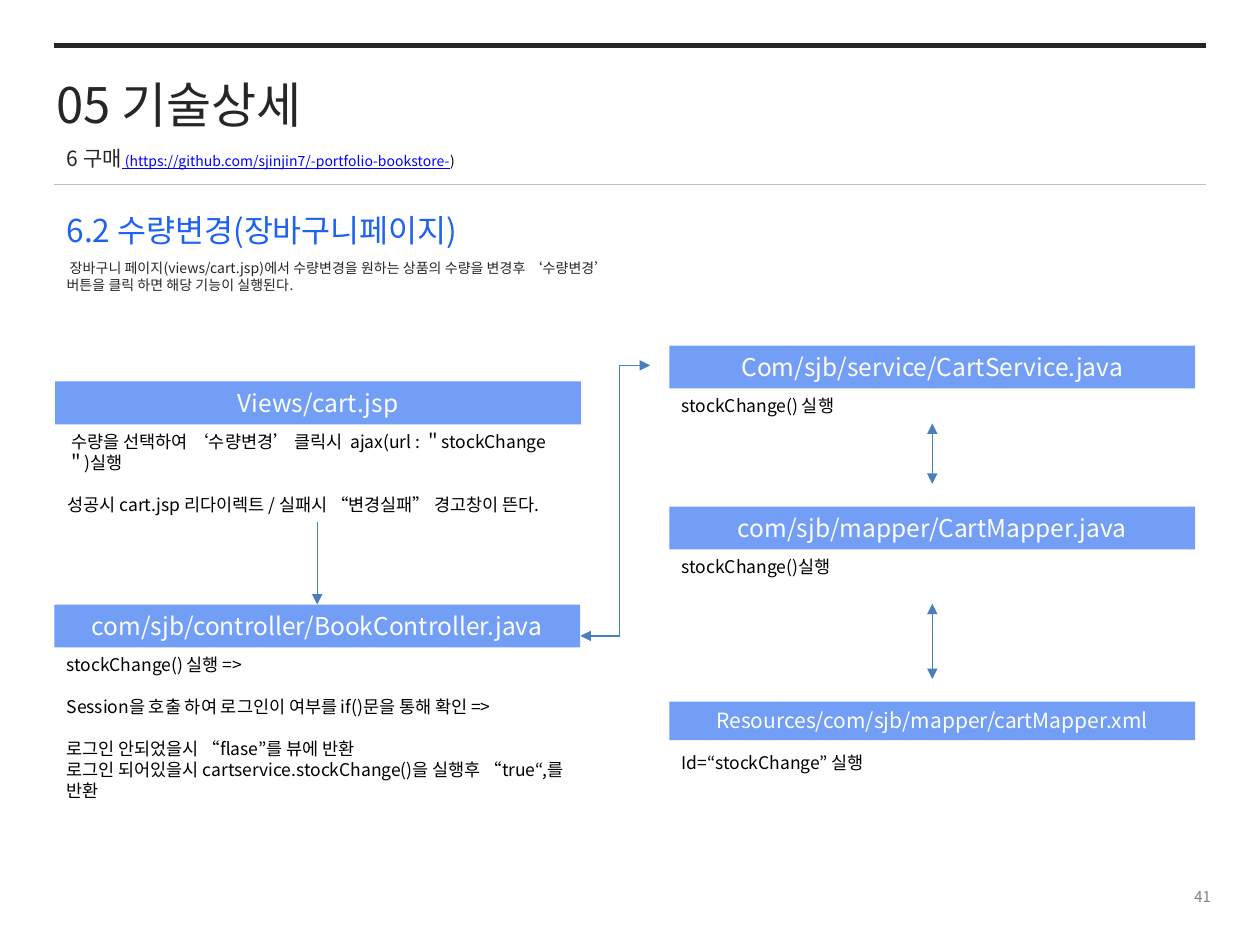
from lxml.etree import SubElement
from pptx import Presentation
from pptx.dml.color import RGBColor
from pptx.enum.shapes import MSO_CONNECTOR as Link, MSO_SHAPE as Form
from pptx.enum.text import MSO_ANCHOR as Anchor, PP_ALIGN as Align
from pptx.oxml.ns import qn
from pptx.util import Pt

FONT = "Noto Sans CJK KR"
DARK, BLACK, WHITE = "262626", "000000", "FFFFFF"
BLUE, BAND, ARROW = "1D62F0", "739EF6", "4B7EBC"


def paint(part, tone):
    part.rgb = RGBColor.from_string(tone)


def style(run, size, tone):
    run.font.size = Pt(size)
    run.font.name = FONT
    paint(run.font.color, tone)
    SubElement(run.font._element, qn("a:ea"), typeface=FONT)


def write(slide, box, lines, size, tone, gaps=()):
    frame = slide.shapes.add_textbox(*map(Pt, box)).text_frame
    frame.word_wrap = True
    frame.text = "\n".join(lines)
    for i, para in enumerate(frame.paragraphs):
        if i in gaps:
            para.space_before = Pt(12)
        style(para.runs[0], size, tone)
    return frame


def draw(slide, start, end, tone=ARROW, width=0.75, head=False, tail=False):
    line = slide.shapes.add_connector(Link.STRAIGHT, *map(Pt, start + end))
    paint(line.line.color, tone)
    line.line.width = Pt(width)
    pen = line.line._get_or_add_ln()
    for on, tag in ((head, "a:headEnd"), (tail, "a:tailEnd")):
        if on:
            SubElement(pen, qn(tag), type="triangle")
    SubElement(line._element.spPr, qn("a:effectLst"))
    return line


def step(slide, box, name, lines, band=24.5, gap=0.2, size=14, gaps=()):
    left, top, width, height = box
    bar = slide.shapes.add_shape(Form.RECTANGLE, *map(Pt, (left, top, width, band)))
    bar.shadow.inherit = False
    bar.fill.solid()
    paint(bar.fill.fore_color, BAND)
    bar.line.fill.background()
    frame = bar.text_frame
    frame.word_wrap = True
    frame.vertical_anchor = Anchor.TOP
    frame.text = name
    frame.paragraphs[0].alignment = Align.CENTER
    style(frame.paragraphs[0].runs[0], size, WHITE)
    start = band + gap
    write(slide, (left, top + start, width, height - start), lines, 10, BLACK, gaps)
    return bar


def header(slide, box):
    left, top, width, height = box
    right, base = left + width, top + height
    draw(slide, (left, top), (right, top), DARK, 3)
    draw(slide, (left, base), (right, base), "BFBFBF")
    write(slide, (left - 5.8, top + 13, 544, 41), ["05 기술상세"], 28, DARK)
    para = write(slide, (left, top + 52, 544, 38), ["6 구매"], 12, DARK).paragraphs[0]
    para.line_spacing = Pt(16)
    for text, tone, under in (
        (" (https://github.com/sjinjin7/-portfolio-bookstore-", "0000FF", True),
        (")", BLACK, False),
    ):
        run = para.add_run()
        run.text = text
        style(run, 8, tone)
        run.font.underline = under


def intro(slide, box):
    left, top, width, height = box
    write(slide, (left, top, width, 29), ["6.2 수량변경(장바구니페이지)"], 18, BLUE)
    write(slide, (left, top + 28, 335, height - 28), [
        " 장바구니 페이지(views/cart.jsp)에서 수량변경을 원하는 상품의 수량을 변경후 "
        "‘수량변경’ 버튼을 클릭 하면 해당 기능이 실행된다.",
    ], 8, DARK)


def request(slide, box):
    left, top, width, height = box
    step(slide, (left + 0.5, top, width, 80), "Views/cart.jsp", [
        " 수량을 선택하여 ‘수량변경’ 클릭시  ajax(url : ＂stockChange＂)실행",
        "성공시 cart.jsp 리다이렉트 / 실패시 “변경실패” 경고창이 뜬다.",
    ], gaps=(1,))
    drop = 127.5
    bar = step(slide, (left, top + drop, width, height - drop),
               "com/sjb/controller/BookController.java", [
        "stockChange() 실행 =>",
        "Session을 호출 하여 로그인이 여부를 if()문을 통해 확인 =>",
        "로그인 안되었을시 “flase”를 뷰에 반환",
        "로그인 되어있을시 cartservice.stockChange()을 실행후 “true“,를 반환",
    ], gaps=(1, 2))
    mid = left + width / 2
    draw(slide, (mid, top + 80.5), (mid, top + drop), tail=True).end_connect(bar, 0)


def service(slide, box):
    left, top, width, height = box
    mid = left + width / 2
    step(slide, (left, top, width, 44.5), "Com/sjb/service/CartService.java",
         ["stockChange() 실행"])
    step(slide, (left, top + 92, width, 44.5), "com/sjb/mapper/CartMapper.java",
         ["stockChange()실행"])
    step(slide, (left, top + 203.5, width, height - 203.5),
         "Resources/com/sjb/mapper/cartMapper.xml",
         ["Id=“stockChange” 실행"], band=22, gap=3, size=12)
    for start, end in ((44.5, 79), (147.5, 190.5)):
        draw(slide, (mid, top + start), (mid, top + end), head=True, tail=True)


def bridge(slide, box):
    left, top, width, height = box
    bend, base = left + 22.5, top + height
    draw(slide, (bend, top), (bend, base))
    draw(slide, (bend, base), (left, base), tail=True)
    draw(slide, (bend, top), (left + width, top), tail=True)


def footer(slide, box):
    frame = write(slide, box, ["41"], 8.5, "808080")
    frame.vertical_anchor = Anchor.MIDDLE
    frame.paragraphs[0].alignment = Align.RIGHT


def main():
    deck = Presentation()
    deck.slide_width, deck.slide_height = Pt(720), Pt(540)
    slide = deck.slides.add_slide(deck.slide_layouts[6])
    header(slide, (31, 26, 658, 79.5))
    intro(slide, (31, 116.8, 448, 54.5))
    request(slide, (31, 218, 300.5, 244))
    service(slide, (382.5, 197.5, 300.5, 260.5))
    bridge(slide, (331.7, 208.8, 39.8, 154.6))
    footer(slide, (547, 502.5, 152, 19.5))
    deck.save("out.pptx")


if __name__ == "__main__":
    main()
